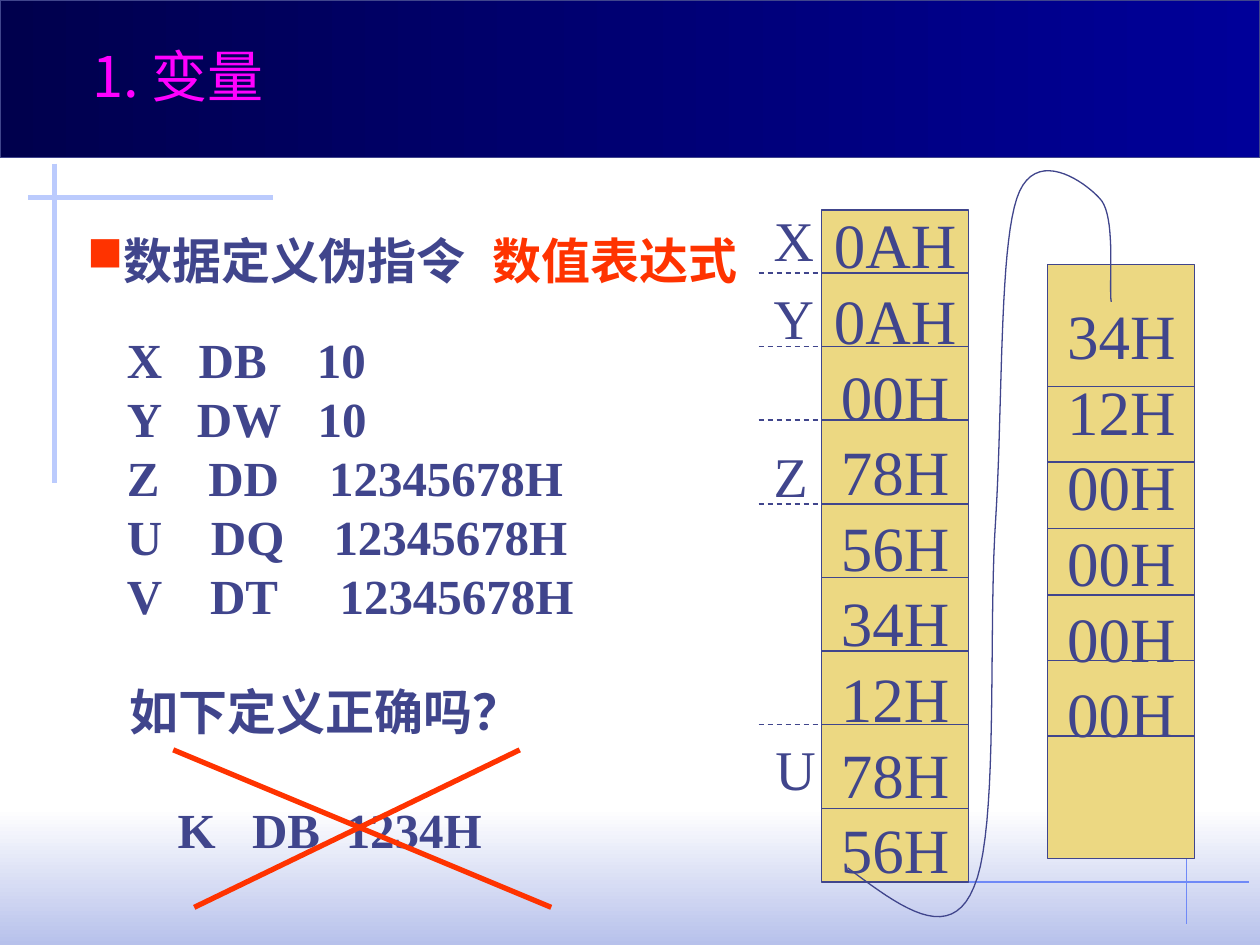
import lxml.etree
import pptx
import pptx.dml.color
import pptx.enum.dml
import pptx.enum.shapes
import pptx.enum.text
import pptx.oxml.ns
import pptx.util

Pt = pptx.util.Pt
RGBColor = pptx.dml.color.RGBColor
RECTANGLE = pptx.enum.shapes.MSO_SHAPE.RECTANGLE
qn = pptx.oxml.ns.qn

INK = RGBColor(0x40, 0x45, 0x8C)
RED = RGBColor(0xFF, 0x33, 0x00)
MAGENTA = RGBColor(0xFF, 0x00, 0xFF)
SAND = RGBColor(0xEC, 0xD8, 0x82)
WHITE = RGBColor(0xFF, 0xFF, 0xFF)
MIST = RGBColor(0xB7, 0xC1, 0xEB)
NIGHT = RGBColor(0x00, 0x00, 0x4D)
NAVY = RGBColor(0x00, 0x00, 0x99)
PALE_BLUE = RGBColor(0xBB, 0xCB, 0xFD)
MID_BLUE = RGBColor(0x6F, 0x89, 0xF7)

deck = pptx.Presentation()
deck.slide_width, deck.slide_height = Pt(720), Pt(540)
page = deck.slides.add_slide(deck.slide_layouts[6])


def add_line(x1, y1, x2, y2, color=INK, width=0.75, dashed=False):
    line = page.shapes.add_connector(
        pptx.enum.shapes.MSO_CONNECTOR.STRAIGHT, Pt(x1), Pt(y1), Pt(x2), Pt(y2))
    line.line.color.rgb = color
    line.line.width = Pt(width)
    if dashed:
        line.line.dash_style = pptx.enum.dml.MSO_LINE.DASH
    lxml.etree.SubElement(line._element.spPr, qn("a:effectLst"))


def add_text(left, top, width, height, rows, size, color=INK, bold=False,
             font="Times New Roman"):
    """Add a text box; each row is its text followed by its tab stops."""
    box = page.shapes.add_textbox(Pt(left), Pt(top), Pt(width), Pt(height))
    frame = box.text_frame
    frame.word_wrap = True
    for index, (text, *stops) in enumerate(rows):
        para = frame.add_paragraph() if index else frame.paragraphs[0]
        para.text = text
        if stops:
            tabs = lxml.etree.SubElement(para._p.get_or_add_pPr(), qn("a:tabLst"))
            for stop in stops:
                lxml.etree.SubElement(tabs, qn("a:tab"), pos=str(Pt(stop)), algn="l")
        para.font.name = font
        para.font.size = Pt(size)
        para.font.bold = bold
        para.font.color.rgb = color
    return frame


# Background: bottom fade, accent lines and title banner
for top, height, start, end, angle in (
    (462, 78, WHITE, MIST, 270),
    (0, 90, NIGHT, NAVY, 0),
):
    band = page.shapes.add_shape(RECTANGLE, 0, Pt(top), Pt(720), Pt(height))
    band.shadow.inherit = False
    band.fill.gradient()
    band.fill.gradient_angle = angle
    for stop, color, position in zip(band.fill.gradient_stops, (start, end), (0, 1)):
        stop.color.rgb = color
        stop.position = position
    band.line.fill.background()
band.line.color.rgb = INK
band.line.width = Pt(0.75)

add_line(678, 372, 678, 528, MID_BLUE)
add_line(522, 504, 714, 504, MID_BLUE)
add_line(156, 113, 16, 113, PALE_BLUE, 3)
add_line(31, 93.5, 31, 276, PALE_BLUE, 3)

# Heading with a square bullet
heading = add_text(42.5, 128, 414, 41, [("数据定义伪指令\t", 232)], 28, bold=True).paragraphs[0]
span = heading.add_run()
span.text = "数值表达式"
span.font.color.rgb = RED
properties = heading._p.get_or_add_pPr()
bullet_color = lxml.etree.Element(qn("a:buClr"))
lxml.etree.SubElement(bullet_color, qn("a:srgbClr"), val=str(RED))
properties.insert(0, bullet_color)
properties.insert(1, lxml.etree.Element(qn("a:buChar"), char="■"))

# Variable definitions
definitions = [
    ("X\tDB\t10", 41, 108.5),
    ("Y\tDW\t10", 40, 109),
    ("Z\tDD\t12345678H", 46.5, 115.5),
    ("U\tDQ\t12345678H", 48, 118),
    ("V\tDT\t12345678H", 47.5, 121.5),
]
add_text(65.5, 185, 280, 176, definitions, 28, bold=True)

# Memory columns: left, top, height, bottom inset, bytes, divider heights
columns = (
    (469.5, 120, 384, 3.6,
     ("0AH", "0AH", "00H", "78H", "56H", "34H", "12H", "78H", "56H"),
     (156, 198, 240, 288, 330, 372, 414, 462)),
    (598.75, 151, 339.5, 46.8,
     ("34H", "12H", "00H", "00H", "00H", "00H"),
     (221, 264, 302, 340, 377.5, 420.5)),
)
for left, top, height, bottom_inset, values, dividers in columns:
    column = page.shapes.add_shape(RECTANGLE, Pt(left), Pt(top), Pt(84), Pt(height))
    column.shadow.inherit = False
    column.fill.solid()
    column.fill.fore_color.rgb = SAND
    column.line.color.rgb = INK
    column.line.width = Pt(0.75)
    frame = column.text_frame
    frame.word_wrap = False
    frame.margin_bottom = Pt(bottom_inset)
    frame.vertical_anchor = pptx.enum.text.MSO_ANCHOR.MIDDLE
    for index, value in enumerate(values):
        para = frame.add_paragraph() if index else frame.paragraphs[0]
        para.text = value
        para.alignment = pptx.enum.text.PP_ALIGN.CENTER
        para.font.name = "Times New Roman"
        para.font.size = Pt(36)
        para.font.color.rgb = INK
    for y in dividers:
        add_line(left, y, left + 84, y)

for y in (156, 198, 240, 288, 414):
    add_line(433.5, y, 469.5, y, dashed=True)
for name, left, top in (("X", 435, 114), ("Y", 435, 158.5), ("Z", 435, 248.5), ("U", 436, 416)):
    add_text(left, top, 37.5, 46, [(name,)], 32)

# Curve from the foot of the first column to the head of the second
start = (484.5, 496)
curves = (
    ((514, 518), (543, 540), (556.5, 507)),
    ((571, 474), (564.5, 362), (569, 296.5)),
    ((573, 231), (571, 144), (581, 113.5)),
    ((591, 83), (620, 104), (628.5, 113.5)),
    ((638, 123), (633.5, 163), (635, 172.5)),
)
points = [start]
for bend1, bend2, end in curves:
    begin = points[-1]
    for step in range(1, 21):
        t = step / 20
        points.append(tuple(
            (1 - t) ** 3 * a + 3 * (1 - t) ** 2 * t * b + 3 * (1 - t) * t ** 2 * c + t ** 3 * d
            for a, b, c, d in zip(begin, bend1, bend2, end)))
points = [(Pt(x), Pt(y)) for x, y in points]
builder = page.shapes.build_freeform(*points[0])
builder.add_line_segments(points[1:], close=False)
curve = builder.convert_to_shape()
curve.shadow.inherit = False
curve.fill.background()
curve.line.color.rgb = INK
curve.line.width = Pt(0.75)

# Question with the crossed-out definition
question = [("如下定义正确吗？",), ("\tK\tDB\t1234H", 27.5, 70, 123.5)]
frame = add_text(67, 386, 237.5, 108, question, 28, bold=True)
frame.paragraphs[1].space_before = Pt(33.6)
add_line(99, 428.5, 315, 518.5, RED, 3)
add_line(111, 518.5, 297, 428.5, RED, 3)

add_text(45.5, 20, 137, 46, [("1. 变量",)], 32, MAGENTA, font="Noto Sans CJK SC")

deck.save("out.pptx")
